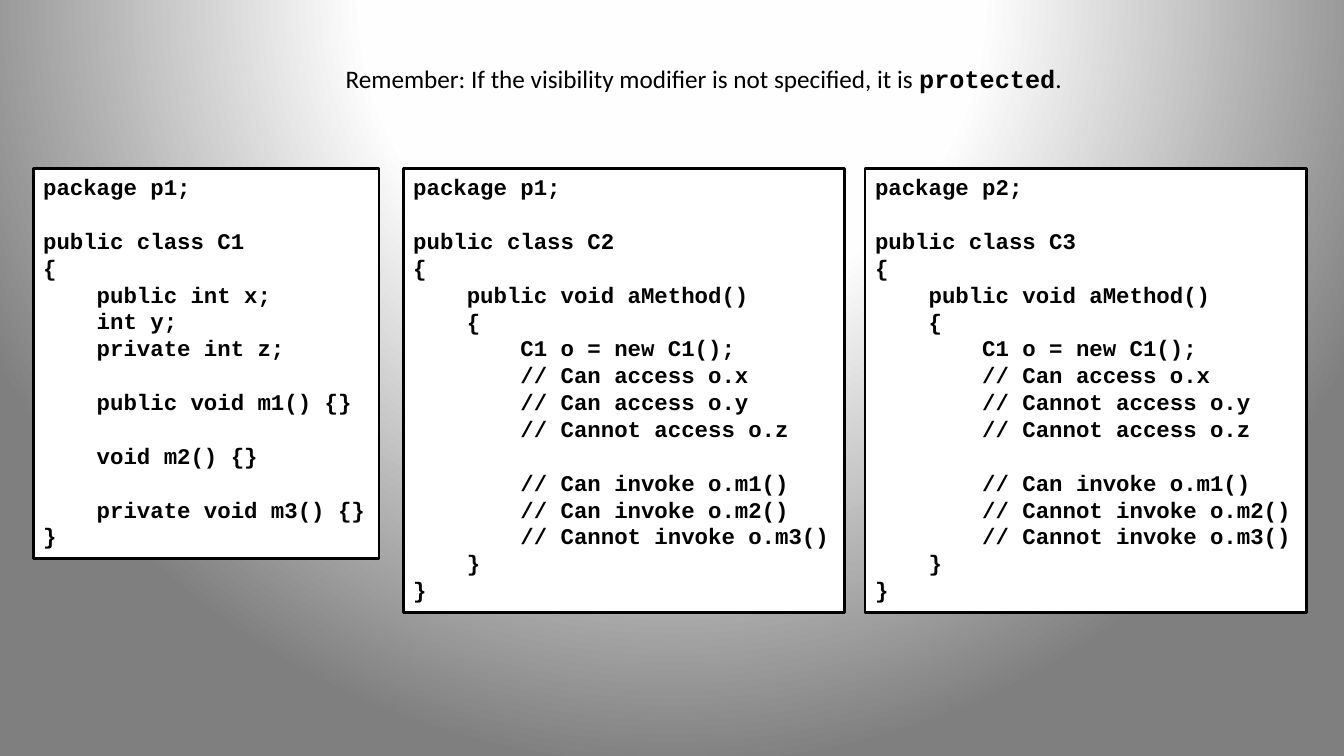
from lxml.etree import SubElement
from pptx import Presentation
from pptx.dml.color import RGBColor
from pptx.enum.shapes import MSO_SHAPE
from pptx.enum.text import MSO_ANCHOR, MSO_AUTO_SIZE, PP_ALIGN
from pptx.oxml import parse_xml
from pptx.oxml.ns import nsdecls, qn
from pptx.util import Inches, Pt

BLACK = RGBColor(0x00, 0x00, 0x00)
WHITE = RGBColor(0xFF, 0xFF, 0xFF)
CODE_FONT, BODY_FONT = "Courier New", "Calibri"
CODE_SIZE, REMINDER_SIZE = 16, 18

BACKGROUND_STOPS = [(0, "FFFFFF"), (40, "FEFEFE"), (100, "7F7F7F")]

REMINDER = [
    ("Remember: If the visibility modifier is not specified, it is ", BODY_FONT, False),
    ("protected", CODE_FONT, True),
    (".", BODY_FONT, False),
]

C1_CODE = """package p1;

public class C1
{
    public int x;
    int y;
    private int z;

    public void m1() {}

    void m2() {}

    private void m3() {}
}"""

CLIENT_CODE = """package {package};

public class {name}
{{
    public void aMethod()
    {{
        C1 o = new C1();
        // Can access o.x
        // {default} access o.y
        // Cannot access o.z

        // Can invoke o.m1()
        // {default} invoke o.m2()
        // Cannot invoke o.m3()
    }}
}}"""

# left, width, height, code
LISTINGS = [
    (0.33, 3.43, 3.87, C1_CODE),
    (4.00, 4.38, 4.41, CLIENT_CODE.format(package="p1", name="C2", default="Can")),
    (8.58, 4.38, 4.41, CLIENT_CODE.format(package="p2", name="C3", default="Cannot")),
]
LISTING_TOP = 1.67


def style_run(run, font_name, size, bold):
    run.font.name = font_name
    run.font.size = Pt(size)
    run.font.bold = bold
    run.font.color.rgb = BLACK


def fit_frame(frame):
    """Let the frame follow its text, without wrapping."""
    frame.word_wrap = False
    frame.auto_size = MSO_AUTO_SIZE.SHAPE_TO_FIT_TEXT
    frame.vertical_anchor = MSO_ANCHOR.TOP


def paint_background(slide):
    """Radial gradient centred above the top edge of the slide."""
    stops = "".join(
        f'<a:gs pos="{position * 1000}"><a:srgbClr val="{color}"/></a:gs>'
        for position, color in BACKGROUND_STOPS
    )
    gradient = parse_xml(
        f'<a:gradFill {nsdecls("a")} rotWithShape="1"><a:gsLst>{stops}</a:gsLst>'
        '<a:path path="circle"><a:fillToRect l="50000" t="-80000" r="50000" b="180000"/>'
        "</a:path></a:gradFill>"
    )
    slide.background.fill.solid()
    solid = slide.element.find(".//" + qn("p:bgPr") + "/" + qn("a:solidFill"))
    solid.getparent().replace(solid, gradient)


def add_listing(slide, left, width, height, code):
    box = slide.shapes.add_shape(
        MSO_SHAPE.RECTANGLE, Inches(left), Inches(LISTING_TOP), Inches(width), Inches(height)
    )
    box.shadow.inherit = False
    box.fill.solid()
    box.fill.fore_color.rgb = WHITE
    box.line.color.rgb = BLACK
    box.line.width = Pt(2)
    fit_frame(box.text_frame)
    box.text_frame.text = code
    for line in box.text_frame.paragraphs:
        line.alignment = PP_ALIGN.LEFT
        for run in line.runs:
            style_run(run, CODE_FONT, CODE_SIZE, True)
        if not line.runs:
            SubElement(line._p, qn("a:endParaRPr"), sz=str(CODE_SIZE * 100))


def add_reminder(slide):
    box = slide.shapes.add_textbox(Inches(3.33), Inches(0.58), Inches(7.38), Inches(0.4))
    fit_frame(box.text_frame)
    sentence = box.text_frame.paragraphs[0]
    for words, font_name, bold in REMINDER:
        run = sentence.add_run()
        run.text = words
        style_run(run, font_name, REMINDER_SIZE, bold)


def main():
    deck = Presentation()
    deck.slide_width, deck.slide_height = Inches(13.33), Inches(7.5)
    slide = deck.slides.add_slide(deck.slide_layouts[6])
    paint_background(slide)
    for listing in LISTINGS:
        add_listing(slide, *listing)
    add_reminder(slide)
    deck.save("out.pptx")


if __name__ == "__main__":
    main()
